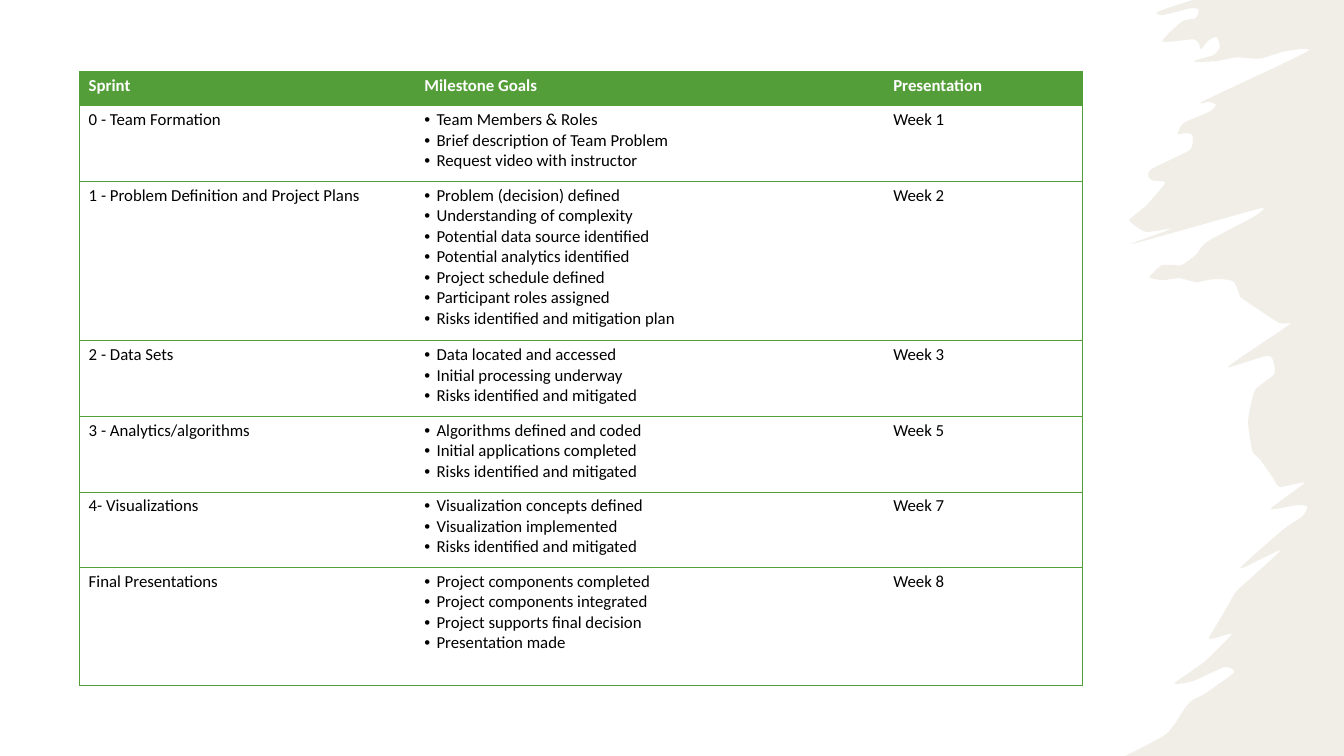
from lxml.etree import SubElement
from pptx import Presentation
from pptx.dml.color import RGBColor
from pptx.oxml.ns import qn
from pptx.util import Inches, Pt

COLORS = {"green": "549E39", "sand": "E3DED1", "white": "FFFFFF", "black": "000000"}

HEADINGS = ("Sprint", "Milestone Goals", "Presentation")
SPRINTS = [
    ("0 - Team Formation",
     ["Team Members & Roles", "Brief description of Team Problem",
      "Request video with instructor"], "Week 1"),
    ("1 - Problem Definition and Project Plans",
     ["Problem (decision) defined", "Understanding of complexity",
      "Potential data source identified", "Potential analytics identified",
      "Project schedule defined", "Participant roles assigned",
      "Risks identified and mitigation plan"], "Week 2"),
    ("2 - Data Sets",
     ["Data located and accessed", "Initial processing underway",
      "Risks identified and mitigated"], "Week 3"),
    ("3 - Analytics/algorithms",
     ["Algorithms defined and coded", "Initial applications completed",
      "Risks identified and mitigated"], "Week 5"),
    ("4- Visualizations",
     ["Visualization concepts defined", "Visualization implemented",
      "Risks identified and mitigated"], "Week 7"),
    ("Final Presentations",
     ["Project components completed", "Project components integrated",
      "Project supports final decision", "Presentation made"], "Week 8"),
]
COLUMN_WIDTHS = (3.33, 4.65, 1.96)
ROW_HEIGHTS = (0.34, 0.75, 1.58, 0.75, 0.75, 0.75, 1.17)

BRUSH_EDGE = [
    (11.83, 0), (11.48, 0.12), (11.53, 0.15), (11.83, 0.08), (11.89, 0.1),
    (11.86, 0.18), (11.73, 0.21), (11.53, 0.41), (11.83, 0.39), (11.89, 0.43),
    (11.91, 0.49), (12, 0.39), (12.07, 0.37), (12.1, 0.46), (12.03, 0.55),
    (11.84, 0.61), (12.04, 0.61), (12.27, 0.57), (12.51, 0.58), (12.74, 0.51),
    (12.97, 0.51), (11.94, 1), (11.99, 1.01), (12.06, 1.04), (12.01, 1.1),
    (11.74, 1.22), (11.68, 1.33), (11.76, 1.32), (11.83, 1.35), (11.8, 1.49),
    (11.42, 1.68), (11.39, 1.75), (11.43, 1.79), (11.56, 1.81), (11.39, 2.02),
    (11.32, 2.08), (11.21, 2.17), (11.21, 2.2), (11.36, 2.3), (11.62, 2.27),
    (11.23, 2.42), (12.49, 2.07), (12.42, 2.16), (11.97, 2.4), (11.85, 2.54),
    (11.72, 2.63), (11.53, 2.63), (11.4, 2.75), (11.53, 2.78), (11.69, 2.76),
    (11.87, 2.8), (12.04, 2.77), (12.23, 2.79), (12.3, 2.94), (12.32, 2.96),
    (12.68, 3.2), (12.79, 3.22), (12.18, 3.64), (12.59, 3.53), (12.64, 3.71),
    (12.45, 3.87), (12.38, 4.19), (12.42, 4.47), (12.5, 4.56), (12.62, 4.73),
    (12.69, 4.83), (12.94, 4.79), (12.6, 5.05), (12.88, 5.01), (12.97, 5.03),
    (12.92, 5.12), (12.72, 5.26), (12.3, 5.64), (12.7, 5.46), (12.28, 5.85),
    (12.19, 5.99), (12, 6.31), (12.01, 6.34), (12.22, 6.29), (11.94, 6.57),
    (11.65, 6.78), (11.85, 6.75), (12.14, 6.62), (12.24, 6.67), (11.97, 6.87),
    (11.81, 6.96), (11.75, 7.03), (11.57, 7.28), (11.16, 7.5),
]


class SlideBuilder:
    """Hold the text style and the current page, and add elements to it."""

    def __init__(self, page, font="Calibri", size=12):
        self.page, self.font, self.size = page, font, size

    def add_brush_stroke(self, edge):
        """Add the pale brush stroke along the right side."""
        outline = [(13.33, 0), *edge, (13.33, 7.5)]
        units = [(x * 100, y * 100) for x, y in outline]
        builder = self.page.shapes.build_freeform(*units[0], scale=Inches(1) / 100)
        builder.add_line_segments(units[1:], close=True)
        stroke = builder.convert_to_shape()
        self.round_edge(stroke, len(edge))
        stroke.shadow.inherit = False
        stroke.line.fill.background()
        stroke.fill.solid()
        stroke.fill.fore_color.rgb = RGBColor.from_string(COLORS["sand"])
        tint = stroke.fill._xPr.find(qn("a:solidFill"))[0]
        SubElement(tint, qn("a:alpha"), val="50000")

    def round_edge(self, stroke, count, tension=0.1):
        """Turn the segments between the edge points into Bézier curves."""
        segments = list(stroke._element.iter(qn("a:lnTo")))[:count]
        points = [(int(s[0].get("x")), int(s[0].get("y"))) for s in segments]
        padded = [points[0], *points, points[-1]]
        neighbors = zip(padded, padded[1:], padded[2:], padded[3:])
        for segment, (before, start, end, after) in zip(segments[1:], neighbors):
            leave = [s + tension * (e - b) for b, s, e in zip(before, start, end)]
            arrive = [e - tension * (a - s) for s, e, a in zip(start, end, after)]
            segment.tag = qn("a:cubicBezTo")
            segment.remove(segment[0])
            for x, y in (leave, arrive, end):
                SubElement(segment, qn("a:pt"), x=str(round(x)), y=str(round(y)))

    def add_border(self, cell, side, visible):
        """Draw one side of a cell in green, or clear it."""
        line = SubElement(cell._tc.get_or_add_tcPr(), qn(f"a:ln{side}"),
                          w=str(Pt(0.5)))
        if visible:
            fill = SubElement(line, qn("a:solidFill"))
            SubElement(fill, qn("a:srgbClr"), val=COLORS["green"])
        else:
            SubElement(line, qn("a:noFill"))

    def write_cell(self, cell, lines, bulleted, header):
        """Write the lines of a cell, one paragraph each."""
        cell.text = "\n".join(lines)
        for para in cell.text_frame.paragraphs:
            if bulleted:
                properties = para._p.get_or_add_pPr()
                properties.set("marL", str(Inches(0.12)))
                properties.set("indent", str(-Inches(0.12)))
                SubElement(properties, qn("a:buFont"), typeface="Arial")
                SubElement(properties, qn("a:buChar"), char="•")
            para.font.name, para.font.size = self.font, Pt(self.size)
            para.font.bold = header
            para.font.color.rgb = RGBColor.from_string(
                COLORS["white" if header else "black"])

    def add_table(self, left, top, widths, heights, rows):
        """Add the ruled schedule table with its green header."""
        table = self.page.shapes.add_table(
            len(rows), len(widths), Inches(left), Inches(top),
            Inches(sum(widths)), Inches(sum(heights))).table
        table.horz_banding = False
        for column, width in zip(table.columns, widths):
            column.width = Inches(width)
        for r, (row, height) in enumerate(zip(rows, heights)):
            table.rows[r].height = Inches(height)
            for c, content in enumerate(row):
                cell = table.cell(r, c)
                bulleted = isinstance(content, list)
                self.write_cell(cell, content if bulleted else [content],
                                bulleted, r == 0)
                cell.margin_left = cell.margin_right = Inches(0.09)
                cell.margin_top = cell.margin_bottom = Inches(0.04)
                self.add_border(cell, "L", c == 0)
                self.add_border(cell, "R", c == len(row) - 1)
                self.add_border(cell, "T", True)
                self.add_border(cell, "B", True)
                if r:
                    cell.fill.background()
                else:
                    cell.fill.solid()
                    cell.fill.fore_color.rgb = RGBColor.from_string(COLORS["green"])


def main():
    """Build and save the sprint schedule slide."""
    deck = Presentation()
    deck.slide_width, deck.slide_height = Inches(13.33), Inches(7.5)
    builder = SlideBuilder(deck.slides.add_slide(deck.slide_layouts[6]))
    builder.add_brush_stroke(BRUSH_EDGE)
    builder.add_table(0.79, 0.71, COLUMN_WIDTHS, ROW_HEIGHTS, [HEADINGS, *SPRINTS])
    deck.save("out.pptx")


if __name__ == "__main__":
    main()
